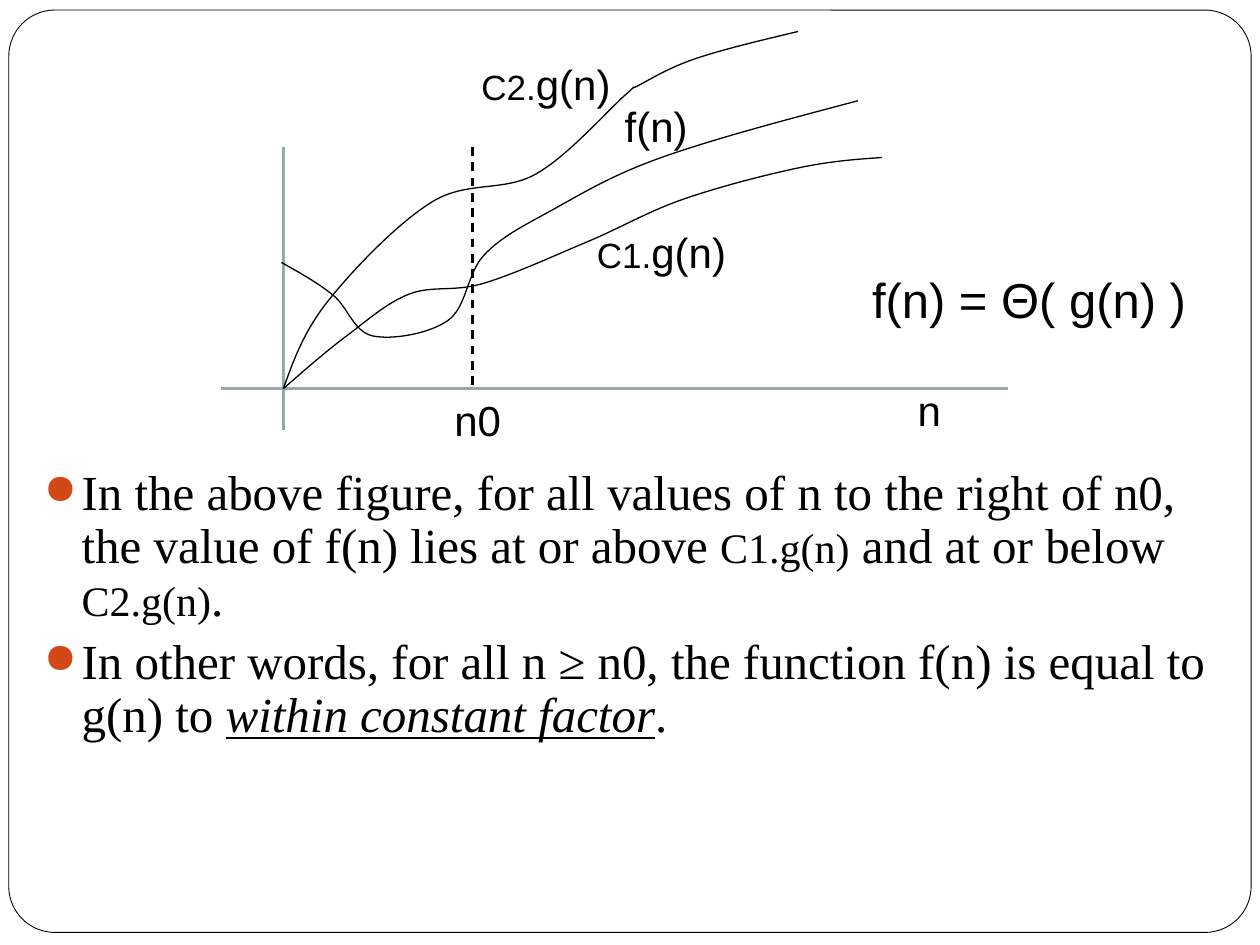
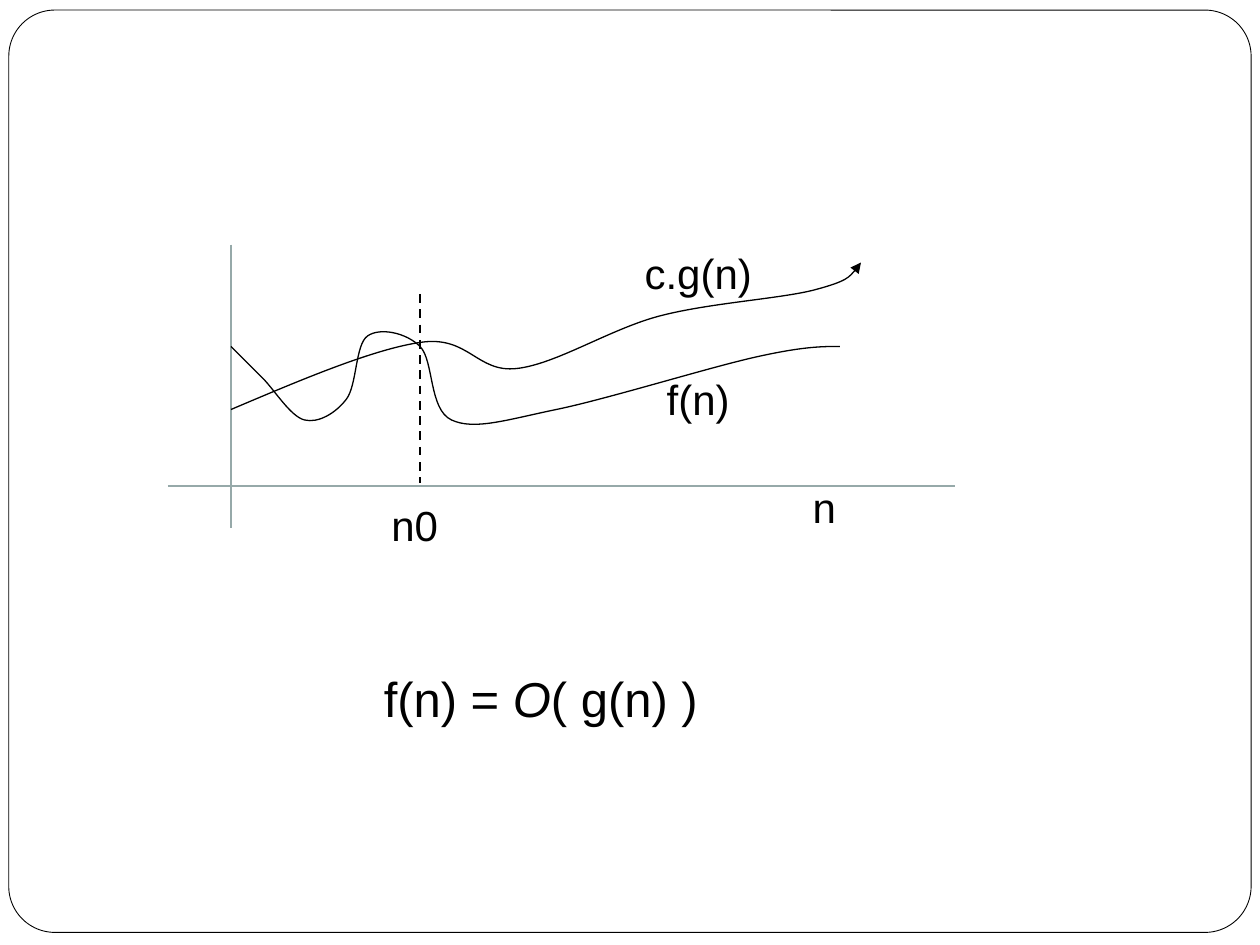
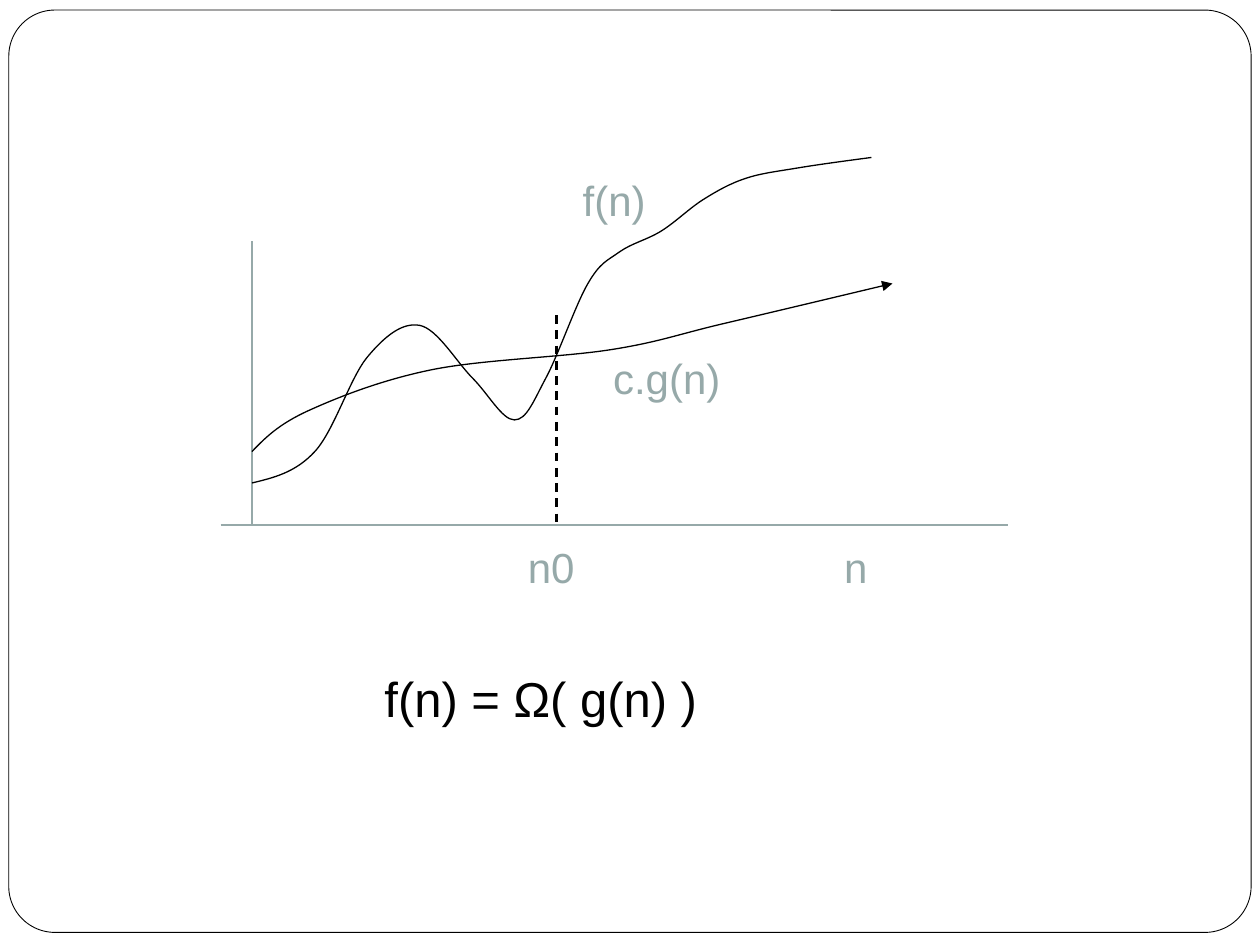
from lxml.etree import SubElement
from pptx import Presentation
from pptx.dml.color import RGBColor
from pptx.enum.dml import MSO_LINE
from pptx.enum.shapes import MSO_CONNECTOR, MSO_SHAPE
from pptx.enum.text import MSO_ANCHOR, PP_ALIGN
from pptx.oxml.ns import qn
from pptx.util import Inches, Pt

BLACK = RGBColor(0x00, 0x00, 0x00)
WHITE = RGBColor(0xFF, 0xFF, 0xFF)
GRAY = RGBColor(0x96, 0xA9, 0xA9)
ORANGE = RGBColor(0xD3, 0x48, 0x17)
SANS, SERIF = "Arial", "Times New Roman"
COLUMNS, ROWS = 120, 90
FORMULA_BOX = (26, 60, 51, 13)

THETA = {
    "origin": (27, 37), "x_axis": (-6, 69), "y_axis": (-4, 23),
    "threshold": (18, 0, 23), "label_color": BLACK,
    "labels": [
        (16, 32, 18, [("C2.", 20), ("g(n)", 24)]),
        (29, 28, 13, [("f(n)", 24)]),
        (12, 0, 13, [("n0", 24)]),
        (55, 1, 13, [("n", 24)]),
        (27, 16, 18, [("C1.", 20), ("g(n)", 24)]),
    ],
    "curves": [
        ([(0, 0), (4.3, 8.4), (14.2, 17.8), (24, 20.4), (32.6, 28),
          (33.7, 28.8), (39.2, 31.4), (49, 34)], False),
        ([(0, 0), (6, 5), (12, 9), (19, 10), (29, 14), (38, 18),
          (49, 21), (57, 22)], False),
        ([(-0.2, 12), (4.7, 8.9), (8.5, 5), (15.7, 6.5), (19.1, 12.7),
          (25.6, 17), (36, 22), (54.7, 27.4)], False),
    ],
}
BIG_O = {
    "origin": (22, 46.3), "x_axis": (-6, 69), "y_axis": (-4, 23),
    "threshold": (18, 0.3, 18.3), "label_color": BLACK,
    "labels": [
        (38, 23.3, 13, [("c.g(n)", 24)]),
        (38, 11.3, 13, [("f(n)", 24)]),
        (11, -0.7, 13, [("n0", 24)]),
        (50, 1, 13, [("n", 24)]),
    ],
    "curves": [
        ([(0, 7.3), (18.1, 13.7), (27.2, 11.2), (40.8, 16.2),
          (55.6, 18.7), (60, 21.3)], True),
        ([(0, 13.3), (3, 10.3), (7, 6.3), (11, 8.3), (13, 14.3), (18, 13.3),
          (21, 6.3), (31, 7.3), (50, 12.3), (58, 13.3)], False),
    ],
}
OMEGA = {
    "origin": (24, 50), "x_axis": (-3, 72), "y_axis": (0, 27),
    "threshold": (29, 0, 20), "label_color": GRAY,
    "labels": [
        (33, 17, 13, [("c.g(n)", 24)]),
        (28, 34, 13, [("f(n)", 24)]),
        (51, -1, 13, [("n", 24)]),
        (22, -1, 13, [("n0", 24)]),
    ],
    "curves": [
        ([(0, 7), (5.4, 10.9), (17.2, 14.8), (34.2, 16.7), (45, 19.2),
          (61, 23)], True),
        ([(0, 4), (6, 7), (11, 16), (16, 19), (21, 14), (25, 10), (28, 14),
          (32, 23), (35, 26), (39, 28), (43, 31), (47, 33), (52, 34),
          (59, 35)], False),
    ],
}
EXPLANATION = [
    [("In the above figure, for all values of n to the right of n0, "
      "the value of f(n) lies at or above ", 28, False), ("C1.g(n)", 24, False),
     (" and at or below ", 28, False), ("C2.g(n)", 24, False), (".", 28, False)],
    [("In other words, for all n ≥ n0, the function f(n) is equal to g(n) to ",
      28, False), ("within constant factor", 28, True), (".", 28, False)],
]


def cells(*counts):
    """Turn counts of grid cells into slide lengths."""
    return [Inches(count * 10 / COLUMNS) for count in counts]


def add_run(paragraph, text, size, font, color):
    """Append one formatted run."""
    run = paragraph.add_run()
    run.text = text
    run.font.size, run.font.name = Pt(size), font
    run.font.color.rgb = color
    return run


def add_label(slide, box, runs, color=BLACK):
    """Centre a line of (text, size, italic) runs in a box of cells."""
    frame = slide.shapes.add_textbox(*cells(*box)).text_frame
    frame.word_wrap = True
    frame.vertical_anchor = MSO_ANCHOR.MIDDLE
    frame.margin_left = frame.margin_right = 0
    paragraph = frame.paragraphs[0]
    paragraph.alignment = PP_ALIGN.CENTER
    for text, size, *italic in runs:
        add_run(paragraph, text, size, SANS, color).font.italic = bool(italic)


def add_rule(slide, start, end, color):
    """Draw a straight line between two grid points."""
    rule = slide.shapes.add_connector(MSO_CONNECTOR.STRAIGHT, *cells(*start, *end))
    rule.line.color.rgb = color
    rule.line.width = Pt(1.25)
    SubElement(rule.element.spPr, qn("a:effectLst"))
    return rule


def curve_controls(knots):
    """Return the Bézier points that smoothly join the knots."""
    def shifted(index, sign):
        before, knot, after = knots[index - 1:index + 2]
        return tuple(k + sign * (a - b) / 6 for b, k, a in zip(before, knot, after))

    def midpoint(first, second):
        return tuple((a + b) / 2 for a, b in zip(first, second))

    points = []
    last = len(knots) - 1
    for index in range(last):
        leaving = shifted(index, 1) if index else None
        arriving = shifted(index + 1, -1) if index + 1 < last else None
        leaving = leaving or midpoint(knots[index], arriving)
        arriving = arriving or midpoint(leaving, knots[last])
        points += [leaving, arriving, knots[index + 1]]
    return points


def add_curve(slide, knots, arrow):
    """Draw a smooth open curve through grid points."""
    builder = slide.shapes.build_freeform(*cells(*knots[0]), scale=1.0)
    builder.add_line_segments([cells(*point) for point in curve_controls(knots)],
                              close=False)
    curve = builder.convert_to_shape()
    outline = next(curve.element.iter(qn("a:path")))
    steps = outline.findall(qn("a:lnTo"))
    for start in range(0, len(steps), 3):
        bend = SubElement(outline, qn("a:cubicBezTo"))
        for step in steps[start:start + 3]:
            bend.append(step[0])
            outline.remove(step)
    curve.shadow.inherit = False
    curve.fill.background()
    curve.line.color.rgb = BLACK
    curve.line.width = Pt(0.75)
    if arrow:
        SubElement(curve.element.spPr.find(qn("a:ln")), qn("a:tailEnd"), type="triangle")


def add_plot(slide, plot):
    """Draw axes, threshold, curves and labels around the plot's origin."""
    left, base = plot["origin"]

    def place(x, y):
        return left + x, base - y

    (x_start, x_end), (y_start, y_end) = plot["x_axis"], plot["y_axis"]
    add_rule(slide, place(0, y_end), place(0, y_start), GRAY)
    add_rule(slide, place(x_start, 0), place(x_end, 0), GRAY)
    n0, low, high = plot["threshold"]
    threshold = add_rule(slide, place(n0, high), place(n0, low), BLACK)
    threshold.line.dash_style = MSO_LINE.DASH
    for knots, arrow in plot["curves"]:
        add_curve(slide, [place(*knot) for knot in knots], arrow)
    for x, y, width, runs in plot["labels"]:
        add_label(slide, (*place(x, y), width, 6), runs, plot["label_color"])


def add_explanation(slide, box):
    """Write the bulleted explanation in a box of cells."""
    frame = slide.shapes.add_textbox(*cells(*box)).text_frame
    frame.word_wrap = True
    for index, runs in enumerate(EXPLANATION):
        paragraph = frame.add_paragraph() if index else frame.paragraphs[0]
        paragraph.line_spacing = 0.9
        paragraph.space_before = Pt(5.8)
        properties = paragraph._p.get_or_add_pPr()
        properties.set("marL", str(Inches(0.3)))
        properties.set("indent", str(Inches(-0.3)))
        bullet_color = SubElement(properties, qn("a:buClr"))
        SubElement(bullet_color, qn("a:srgbClr"), val=str(ORANGE))
        SubElement(properties, qn("a:buSzPct"), val="85000")
        SubElement(properties, qn("a:buChar"), char="●")
        for text, size, stressed in runs:
            font = add_run(paragraph, text, size, SERIF, BLACK).font
            font.italic = font.underline = stressed


def add_framed_slide(deck):
    """Add a blank slide with the rounded border."""
    slide = deck.slides.add_slide(deck.slide_layouts[6])
    border = slide.shapes.add_shape(MSO_SHAPE.ROUNDED_RECTANGLE, Inches(0.07),
                                    Inches(0.08), Inches(9.86), Inches(7.32))
    border.adjustments[0] = 0.05
    border.shadow.inherit = False
    border.fill.solid()
    border.fill.fore_color.rgb = WHITE
    border.line.color.rgb = BLACK
    border.line.width = Pt(0.5)
    return slide


def add_bound_slide(deck, plot, formula, formula_box=FORMULA_BOX):
    """Add a slide with one plot and the formula it illustrates."""
    slide = add_framed_slide(deck)
    add_plot(slide, plot)
    add_label(slide, formula_box, formula)
    return slide


def main():
    """Build and save the deck."""
    deck = Presentation()
    deck.slide_width, deck.slide_height = cells(COLUMNS, ROWS)
    theta = add_bound_slide(deck, THETA, [("f(n) = Θ( g(n) )", 28)], (79, 24, 38, 9))
    add_explanation(theta, (3, 44, 113, 40))
    add_bound_slide(deck, BIG_O,
                    [("f(n) = ", 28), ("O", 28, True), ("( g(n) )", 28)])
    add_bound_slide(deck, OMEGA, [("f(n) = Ω( g(n) )", 28)])
    deck.save("out.pptx")


if __name__ == "__main__":
    main()
